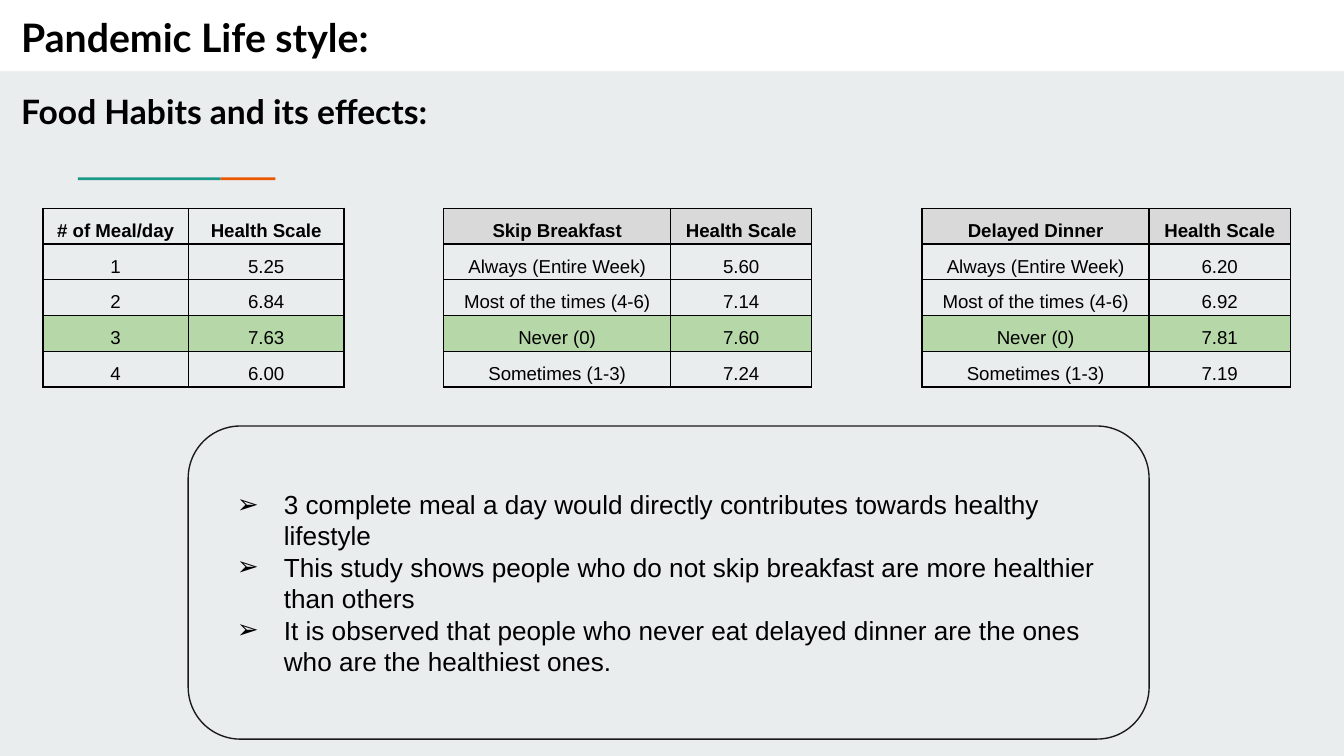
from dataclasses import dataclass

from lxml.etree import SubElement
from pptx import Presentation
from pptx.dml.color import RGBColor
from pptx.enum.shapes import MSO_SHAPE as Shape
from pptx.enum.text import MSO_ANCHOR as Anchor, PP_ALIGN as Align
from pptx.oxml.ns import qn
from pptx.util import Inches, Pt


@dataclass(frozen=True)
class Theme:
    background: str = "E9EDEE"
    band: str = "FFFFFF"
    ink: str = "000000"
    outline: str = "1A1A1A"
    teal: str = "1A9988"
    orange: str = "EB5600"
    header: str = "D9D9D9"
    highlight: str = "B6D7A8"
    heading_font: str = "Lato"
    body_font: str = "Arial"
    title_size: float = 21
    subtitle_size: float = 18
    body_size: float = 14
    table_size: float = 10
    outline_width: float = 0.75
    border_width: float = 0.83


THEME = Theme()
SLIDE_WIDTH = 10
HIGHLIGHT_ROW = 3
TABLE_TOP = 1.55
TABLE_HEIGHT = 1.33
FREQUENCIES = ["Always (Entire Week)", "Most of the times (4-6)", "Never (0)", "Sometimes (1-3)"]
TABLES = [
    (0.32, (1.08, 1.16), None, "# of Meal/day", ["1", "2", "3", "4"],
     ["5.25", "6.84", "7.63", "6.00"]),
    (3.3, (1.69, 1.05), THEME.header, "Skip Breakfast", FREQUENCIES,
     ["5.60", "7.14", "7.60", "7.24"]),
    (6.86, (1.69, 1.05), THEME.header, "Delayed Dinner", FREQUENCIES,
     ["6.20", "6.92", "7.81", "7.19"]),
]
FINDINGS = [
    "3 complete meal a day would directly contributes towards healthy lifestyle",
    "This study shows people who do not skip breakfast are more healthier than others",
    "It is observed that people who never eat delayed dinner are the ones "
    "who are the healthiest ones.",
]


def paint(fill, color):
    fill.solid()
    fill.fore_color.rgb = RGBColor.from_string(color)


def style_font(para, name, size, bold=False):
    para.font.name = name
    para.font.size = Pt(size)
    para.font.bold = bold
    para.font.color.rgb = RGBColor.from_string(THEME.ink)


def set_margins(target, horizontal, vertical):
    target.margin_left = target.margin_right = Inches(horizontal)
    target.margin_top = target.margin_bottom = Inches(vertical)


def add_block(page, kind, left, top, width, height, color):
    block = page.shapes.add_shape(
        kind, Inches(left), Inches(top), Inches(width), Inches(height))
    block.shadow.inherit = False
    paint(block.fill, color)
    block.line.fill.background()
    return block


def add_heading(page, text, top, height, size):
    box = page.shapes.add_textbox(Inches(0.06), Inches(top), Inches(7.53), Inches(height))
    frame = box.text_frame
    frame.word_wrap = True
    set_margins(frame, 0.1, 0.1)
    frame.text = text
    style_font(frame.paragraphs[0], THEME.heading_font, size, bold=True)


def add_borders(cell):
    properties = cell._tc.get_or_add_tcPr()
    for side in ("a:lnL", "a:lnR", "a:lnT", "a:lnB"):
        border = SubElement(properties, qn(side), w=str(Pt(THEME.border_width)))
        SubElement(SubElement(border, qn("a:solidFill")), qn("a:srgbClr"), val=THEME.ink)


def fill_cell(cell, text, color, bold):
    cell.text = text
    cell.vertical_anchor = Anchor.BOTTOM
    set_margins(cell, 0.03, 0.02)
    add_borders(cell)
    if color:
        paint(cell.fill, color)
    else:
        cell.fill.background()
    para = cell.text_frame.paragraphs[0]
    para.alignment = Align.CENTER
    para.line_spacing = 1.15
    style_font(para, THEME.body_font, THEME.table_size, bold)


def add_health_table(page, left, widths, header_color, heading, labels, scores):
    rows = [(heading, "Health Scale"), *zip(labels, scores)]
    colors = {0: header_color, HIGHLIGHT_ROW: THEME.highlight}
    table = page.shapes.add_table(
        len(rows), len(widths), Inches(left), Inches(TABLE_TOP),
        Inches(sum(widths)), Inches(TABLE_HEIGHT)).table
    table.first_row = table.horz_banding = False
    for column, width in zip(table.columns, widths):
        column.width = Inches(width)
    for index, texts in enumerate(rows):
        for cell, text in zip(table.rows[index].cells, texts):
            fill_cell(cell, text, colors.get(index), bold=index == 0)


def add_bullet(para):
    properties = para._p.get_or_add_pPr()
    properties.set("marL", str(Inches(0.5)))
    properties.set("indent", str(Inches(-0.35)))
    SubElement(SubElement(properties, qn("a:buClr")), qn("a:srgbClr"), val=THEME.ink)
    SubElement(properties, qn("a:buFont"), typeface=THEME.body_font)
    SubElement(properties, qn("a:buChar"), char="➢")


def add_findings(page):
    panel = add_block(page, Shape.ROUNDED_RECTANGLE, 1.4, 3.17, 7.15, 2.33, THEME.background)
    paint(panel.line.fill, THEME.outline)
    panel.line.width = Pt(THEME.outline_width)
    frame = panel.text_frame
    frame.word_wrap = True
    frame.vertical_anchor = Anchor.MIDDLE
    set_margins(frame, 0.1, 0.1)
    frame.text = "\n".join(FINDINGS)
    for para in frame.paragraphs:
        para.alignment = Align.LEFT
        add_bullet(para)
        style_font(para, THEME.body_font, THEME.body_size)


def main():
    deck = Presentation()
    deck.slide_width = Inches(SLIDE_WIDTH)
    deck.slide_height = Inches(SLIDE_WIDTH * 9 / 16)
    page = deck.slides.add_slide(deck.slide_layouts[6])
    paint(page.background.fill, THEME.background)
    add_block(page, Shape.RECTANGLE, 0, 0, SLIDE_WIDTH, 0.53, THEME.band)
    add_block(page, Shape.RECTANGLE, 1.64, 1.32, 0.41, 0.02, THEME.orange)
    add_block(page, Shape.RECTANGLE, 0.58, 1.32, 1.06, 0.02, THEME.teal)
    add_heading(page, "Pandemic Life style:", 0, 0.56, THEME.title_size)
    add_heading(page, "Food Habits and its effects:", 0.58, 0.5, THEME.subtitle_size)
    for table in TABLES:
        add_health_table(page, *table)
    add_findings(page)
    deck.save("out.pptx")


if __name__ == "__main__":
    main()
